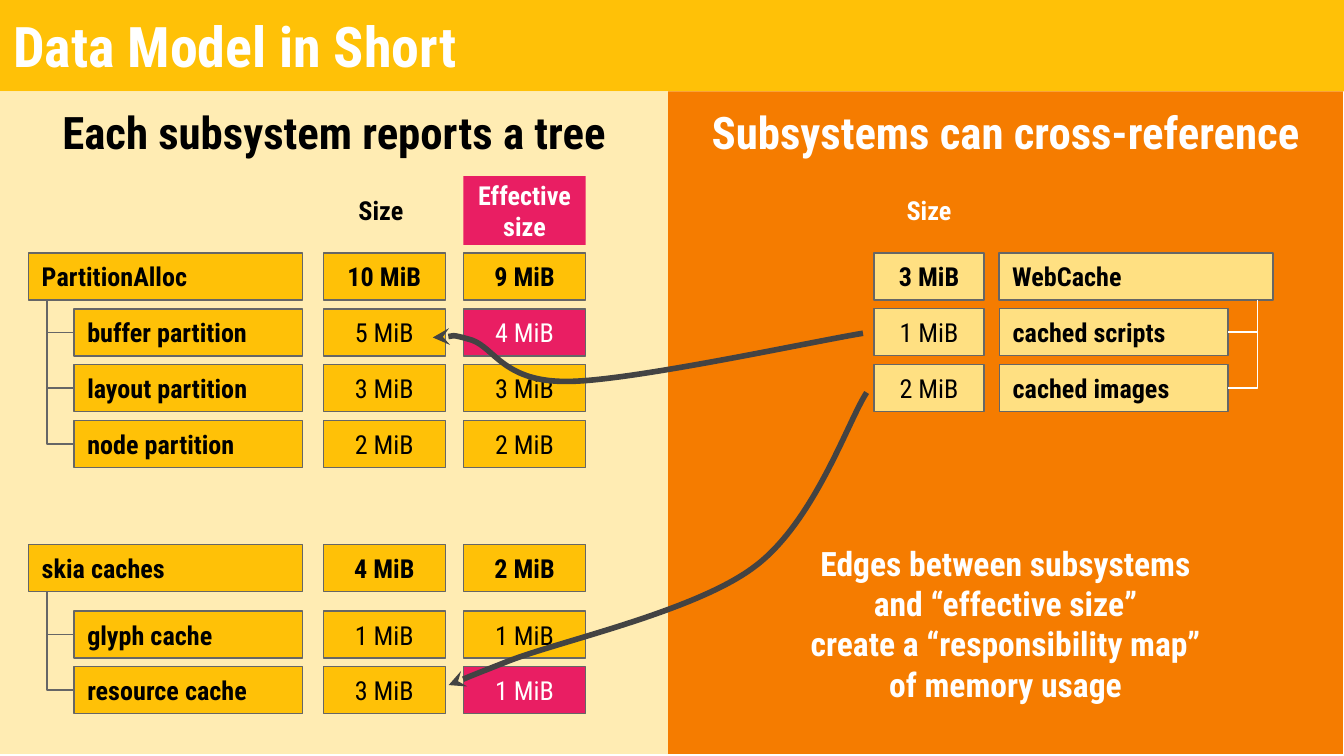
"""Build the slide on subsystem trees and their cross-references."""
from lxml.etree import SubElement
from pptx import Presentation
from pptx.dml.color import RGBColor
from pptx.enum.shapes import MSO_CONNECTOR, MSO_SHAPE
from pptx.enum.text import MSO_ANCHOR, MSO_AUTO_SIZE, PP_ALIGN
from pptx.oxml.ns import qn
from pptx.util import Cm, Pt

WHITE, BLACK, GREY, DARK = "FFFFFF", "000000", "666666", "434343"
AMBER, PALE, ORANGE, CREAM, PINK = "FFC107", "FFECB3", "F57C00", "FFE082", "E91E63"
ROW_HEIGHT, ROOT_WIDTH, CHILD_WIDTH = 0.89, 5.18, 4.32


def write(shape, lines, size, color, bold=True, align=PP_ALIGN.CENTER, anchor=MSO_ANCHOR.MIDDLE):
    """Set the text of a shape, one paragraph a line."""
    frame = shape.text_frame
    frame.word_wrap = True
    frame.auto_size = MSO_AUTO_SIZE.NONE
    frame.vertical_anchor = anchor
    frame.margin_left = frame.margin_right = frame.margin_top = frame.margin_bottom = Cm(0.25)
    frame.text = lines
    for para in frame.paragraphs:
        para.alignment = align
        para.font.name = "Roboto Condensed"
        para.font.size = Pt(size)
        para.font.bold = bold
        para.font.color.rgb = RGBColor.from_string(color)


def add_box(left, top, width, height, fill, outline=None):
    """Add a flat rectangle, outlined on request."""
    box = page.shapes.add_shape(MSO_SHAPE.RECTANGLE, Cm(left), Cm(top), Cm(width), Cm(height))
    box.shadow.inherit = False
    box.fill.solid()
    box.fill.fore_color.rgb = RGBColor.from_string(fill)
    if outline:
        box.line.color.rgb = RGBColor.from_string(outline)
        box.line.width = Pt(0.75)
    else:
        box.line.fill.background()
    return box


deck = Presentation()
deck.slide_width, deck.slide_height = Cm(25.4), Cm(14.29)
page = deck.slides.add_slide(deck.slide_layouts[5])

title = page.shapes.title
title.left, title.top, title.width, title.height = Cm(0), Cm(0), Cm(25.4), Cm(1.73)
title.fill.solid()
title.fill.fore_color.rgb = RGBColor.from_string(AMBER)
write(title, "Data Model in Short", 30, WHITE, align=PP_ALIGN.LEFT, anchor=MSO_ANCHOR.BOTTOM)

panels = [
    (0, 12.63, PALE, BLACK, "Each subsystem reports a tree"),
    (12.63, 12.75, ORANGE, WHITE, "Subsystems can cross-reference"),
]
for left, width, fill, color, heading in panels:
    panel = add_box(left, 1.73, width, 12.52, fill)
    write(panel, heading, 24, color, anchor=MSO_ANCHOR.TOP)

notes = [
    (5.89, 3.53, 2.62, 0.89, "Size", 14, BLACK, MSO_ANCHOR.MIDDLE),
    (16.52, 3.52, 2.08, 0.89, "Size", 14, WHITE, MSO_ANCHOR.MIDDLE),
    (12.63, 10.01, 12.75, 3.18,
     "Edges between subsystems\nand “effective size”\ncreate a “responsibility map”\nof memory usage",
     18, WHITE, MSO_ANCHOR.TOP),
]
for left, top, width, height, lines, size, color, anchor in notes:
    note = page.shapes.add_textbox(Cm(left), Cm(top), Cm(width), Cm(height))
    write(note, lines, size, color, anchor=anchor)
write(add_box(8.76, 3.33, 2.31, 1.3, PINK), "Effective size", 14, WHITE)

left_side = dict(fill=AMBER, link=GREY, root=0.54, child=1.4, trunk=0.89, joint=1.4,
                 columns=(6.11, 8.76), column_width=2.31, turn=270, flip="1")
right_side = dict(fill=CREAM, link=WHITE, root=18.88, child=18.89, trunk=23.77, joint=23.21,
                  columns=(16.52,), column_width=2.08, turn=90, flip="0")
trees = [
    (left_side, [
        (4.78, "PartitionAlloc", ["10 MiB", "9 MiB"]),
        (5.84, "buffer partition", ["5 MiB", "4 MiB"]),
        (6.89, "layout partition", ["3 MiB", "3 MiB"]),
        (7.95, "node partition", ["2 MiB", "2 MiB"]),
    ]),
    (left_side, [
        (10.29, "skia caches", ["4 MiB", "2 MiB"]),
        (11.55, "glyph cache", ["1 MiB", "1 MiB"]),
        (12.6, "resource cache", ["3 MiB", "1 MiB"]),
    ]),
    (right_side, [
        (4.78, "WebCache", ["3 MiB"]),
        (5.83, "cached scripts", ["1 MiB"]),
        (6.89, "cached images", ["2 MiB"]),
    ]),
]
shared = {("buffer partition", 1), ("resource cache", 1)}

for side, rows in trees:
    root_bottom = rows[0][0] + ROW_HEIGHT
    for number, (top, name, values) in enumerate(rows):
        is_root = number == 0
        left, width = (side["root"], ROOT_WIDTH) if is_root else (side["child"], CHILD_WIDTH)
        label = add_box(left, top, width, ROW_HEIGHT, side["fill"], GREY)
        write(label, name, 14, BLACK, align=PP_ALIGN.LEFT)
        for column, value in enumerate(values):
            marked = (name, column) in shared
            cell = add_box(side["columns"][column], top, side["column_width"], ROW_HEIGHT,
                           PINK if marked else side["fill"], GREY)
            write(cell, value, 14, WHITE if marked else BLACK, bold=is_root)
        if is_root:
            continue
        drop = top + ROW_HEIGHT / 2 - root_bottom
        reach = abs(side["joint"] - side["trunk"])
        left = (side["trunk"] + side["joint"] - drop) / 2
        upper = root_bottom + (drop - reach) / 2
        branch = page.shapes.add_connector(MSO_CONNECTOR.ELBOW, Cm(left), Cm(upper),
                                           Cm(left + drop), Cm(upper + reach))
        branch.line.color.rgb = RGBColor.from_string(side["link"])
        branch.line.width = Pt(0.75)
        properties = branch._element.spPr
        properties.find(qn("a:prstGeom")).set("prst", "bentConnector2")
        properties.find(qn("a:xfrm")).set("rot", str(side["turn"] * 60000))
        properties.find(qn("a:xfrm")).set("flipH", side["flip"])
        SubElement(properties, qn("a:effectLst"))

edges = [
    [(16.31, 6.3), (15.39, 6.45), (11.99, 7.19), (10.77, 7.21), (9.53, 7.24), (9.35, 6.58),
     (8.92, 6.43), (8.48, 6.3), (8.31, 6.4), (8.18, 6.38)],
    [(16.38, 7.42), (16.03, 7.95), (15.39, 9.88), (14.25, 10.72), (13.13, 11.56), (10.57, 12.12),
     (9.6, 12.5), (8.64, 12.88), (8.66, 12.88), (8.48, 12.95)],
]
for points in edges:
    start, *others = [(Cm(x), Cm(y)) for x, y in points]
    builder = page.shapes.build_freeform(*start)
    builder.add_line_segments(others, close=False)
    edge = builder.convert_to_shape()
    edge.shadow.inherit = False
    edge.fill.background()
    edge.line.color.rgb = RGBColor.from_string(DARK)
    edge.line.width = Pt(3)
    SubElement(edge.line._get_or_add_ln(), qn("a:tailEnd"), type="stealth")
    outline = next(edge._element.iter(qn("a:path")))
    segments = outline.findall(qn("a:lnTo"))
    for first in range(0, len(segments), 3):
        curve = SubElement(outline, qn("a:cubicBezTo"))
        for segment in segments[first:first + 3]:
            curve.append(segment[0])
            outline.remove(segment)

deck.save("out.pptx")
